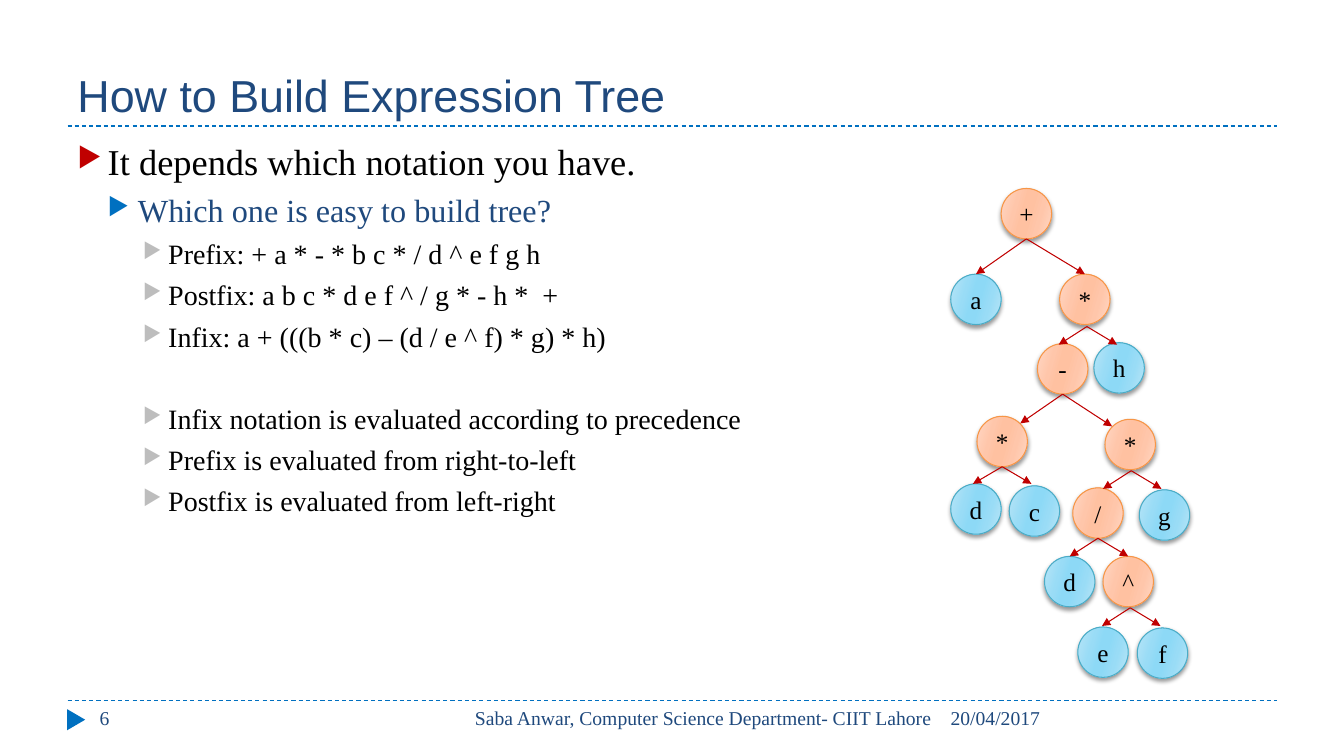
from dataclasses import dataclass

from lxml import etree
from pptx import Presentation
from pptx import util as u
from pptx.dml.color import RGBColor
from pptx.enum import dml, shapes, text
from pptx.oxml import ns

SERIF = "Times New Roman"
COLORS = {
    "navy": "1F497D", "blue": "0070C0", "red": "C00000", "grey": "BDBDBD",
    "black": "000000", "leaf_line": "4BACC6", "operator_line": "F79646",
}
GRADIENTS = {
    "leaf": ("B9E5F7", "99DCF6", "8DD9F6"),
    "operator": ("FFD7C5", "FFC6AA", "FFC1A1"),
}
STOPS = ((0, 0), (30, 1), (45, 2), (55, 2), (73, 1), (100, 0))
NODE_SIZE = 0.5


@dataclass
class Node:
    symbol: str
    left: float
    top: float


@dataclass
class Branch:
    start: tuple[float, float]
    left_end: tuple[float, float]
    right_end: tuple[float, float]


@dataclass
class Level:
    size: int
    color: str
    bullet_color: str
    margin: float
    hanging: float


@dataclass
class Point:
    words: str
    level: int
    before: float = 5.5


LEVELS = (
    Level(26, "black", "red", 0.3, 0.3),
    Level(23, "navy", "blue", 0.6, 0.3),
    Level(20, "black", "grey", 0.9, 0.25),
)
POINTS = (
    Point("It depends which notation you have.", 0, 0),
    Point("Which one is easy to build tree?", 1),
    Point("Prefix: + a * - * b c * / d ^ e f g h", 2),
    Point("Postfix: a b c * d e f ^ / g * - h *  +", 2),
    Point("Infix: a + (((b * c) – (d / e ^ f) * g) * h)", 2),
    Point("Infix notation is evaluated according to precedence", 2, 34.5),
    Point("Prefix is evaluated from right-to-left", 2),
    Point("Postfix is evaluated from left-right", 2),
)
NODES = (
    Node("+", 9.93, 1.87), Node("a", 9.43, 2.72), Node("*", 10.51, 2.72),
    Node("-", 10.29, 3.41), Node("h", 10.85, 3.4),
    Node("*", 9.69, 4.13), Node("*", 10.96, 4.16),
    Node("d", 9.43, 4.8), Node("c", 10.01, 4.82),
    Node("/", 10.64, 4.84), Node("g", 11.3, 4.86),
    Node("d", 10.36, 5.52), Node("^", 10.94, 5.52),
    Node("e", 10.69, 6.22), Node("f", 11.28, 6.23),
)
BRANCHES = (
    Branch((10.18, 2.37), (9.68, 2.72), (10.76, 2.72)),
    Branch((10.78, 3.24), (10.5, 3.42), (11.08, 3.42)),
    Branch((10.54, 3.91), (10.12, 4.2), (11.03, 4.23)),
    Branch((9.94, 4.63), (9.65, 4.8), (10.23, 4.8)),
    Branch((11.22, 4.67), (10.94, 4.85), (11.52, 4.85)),
    Branch((10.89, 5.34), (10.61, 5.52), (11.19, 5.52)),
    Branch((11.21, 6.03), (10.93, 6.21), (11.51, 6.21)),
)


def rgb(color: str) -> RGBColor:
    return RGBColor.from_string(COLORS[color])


def add_child(parent, tag: str, **attributes):
    child = etree.SubElement(parent, ns.qn(tag))
    for key, value in attributes.items():
        child.set(key, str(value))
    return child


def write(paragraph, words: str, *, size: float, color: str = "navy",
          font: str = SERIF, align=text.PP_ALIGN.LEFT) -> None:
    paragraph.alignment = align
    run = paragraph.add_run()
    run.text = words
    run.font.size = u.Pt(size)
    run.font.name = font
    run.font.color.rgb = rgb(color)


def add_frame(slide, left: float, top: float, width: float, height: float,
              anchor=text.MSO_ANCHOR.TOP):
    box = slide.shapes.add_textbox(*map(u.Inches, (left, top, width, height)))
    box.text_frame.word_wrap = True
    box.text_frame.vertical_anchor = anchor
    return box.text_frame


def add_line(slide, start: tuple[float, float], end: tuple[float, float],
             color: str):
    line = slide.shapes.add_connector(
        shapes.MSO_CONNECTOR.STRAIGHT, *map(u.Inches, start + end))
    line.line.color.rgb = rgb(color)
    line.line.width = u.Pt(0.75)
    add_child(line._element.spPr, "a:effectLst")
    return line


def add_branch(slide, branch: Branch) -> None:
    for end in (branch.left_end, branch.right_end):
        arrow = add_line(slide, branch.start, end, "red")
        add_child(arrow.line._get_or_add_ln(), "a:tailEnd", type="triangle")


def add_node(slide, node: Node) -> None:
    kind = "leaf" if node.symbol.isalpha() else "operator"
    circle = slide.shapes.add_shape(
        shapes.MSO_SHAPE.OVAL,
        *map(u.Inches, (node.left, node.top, NODE_SIZE, NODE_SIZE)))
    circle.fill.gradient()
    circle.fill.gradient_angle = 344
    stops = circle._element.spPr.find(".//" + ns.qn("a:gsLst"))
    for stop in list(stops):
        stops.remove(stop)
    for position, shade in STOPS:
        stop = add_child(stops, "a:gs", pos=position * 1000)
        add_child(stop, "a:srgbClr", val=GRADIENTS[kind][shade])
    circle.line.color.rgb = rgb(kind + "_line")
    circle.line.width = u.Pt(0.75)
    circle.shadow.inherit = False
    effects = circle._element.spPr.find(ns.qn("a:effectLst"))
    shadow = add_child(effects, "a:outerShdw", blurRad=u.Pt(3), dist=u.Pt(2),
                       dir=90 * 60000, rotWithShape=0)
    shade = add_child(shadow, "a:srgbClr", val=COLORS["black"])
    add_child(shade, "a:alpha", val=40000)
    frame = circle.text_frame
    frame.margin_left = frame.margin_right = 0
    frame.vertical_anchor = text.MSO_ANCHOR.MIDDLE
    write(frame.paragraphs[0], node.symbol, size=18, color="black",
          align=text.PP_ALIGN.CENTER)


def add_points(slide) -> None:
    frame = add_frame(slide, 0.67, 1.33, 8.67, 5.4)
    for index, point in enumerate(POINTS):
        level = LEVELS[point.level]
        paragraph = frame.add_paragraph() if index else frame.paragraphs[0]
        paragraph.level = point.level
        properties = paragraph._p.get_or_add_pPr()
        properties.set("marL", str(u.Inches(level.margin)))
        properties.set("indent", str(-u.Inches(level.hanging)))
        bullet_color = add_child(properties, "a:buClr")
        add_child(bullet_color, "a:srgbClr", val=COLORS[level.bullet_color])
        add_child(properties, "a:buSzPct", val=76000)
        add_child(properties, "a:buChar", char="▶")
        paragraph.space_before = u.Pt(point.before)
        write(paragraph, point.words, size=level.size, color=level.color)


def main() -> None:
    deck = Presentation()
    deck.slide_width, deck.slide_height = u.Inches(13.33), u.Inches(7.5)
    slide = deck.slides.add_slide(deck.slide_layouts[6])

    for y in (1.25, 6.95):
        rule = add_line(slide, (0.67, y), (12.67, y), "blue")
        rule.line.dash_style = dml.MSO_LINE.DASH
    marker = slide.shapes.add_shape(
        shapes.MSO_SHAPE.ISOSCELES_TRIANGLE,
        *map(u.Inches, (0.65, 7.05, 0.21, 0.18)))
    marker.rotation = 90
    marker.fill.solid()
    marker.fill.fore_color.rgb = rgb("blue")
    marker.line.fill.background()
    marker.shadow.inherit = False

    title = add_frame(slide, 0.67, 0.17, 12, 1.08, text.MSO_ANCHOR.BOTTOM)
    write(title.paragraphs[0], "How to Build Expression Tree", size=32, font="Arial")
    for words, left, width, align in (
        ("6", 0.89, 2.89, text.PP_ALIGN.LEFT),
        ("Saba Anwar, Computer Science Department- CIIT Lahore", 4.23, 5.11,
         text.PP_ALIGN.RIGHT),
        ("20/04/2017", 9.33, 3.34, text.PP_ALIGN.LEFT),
    ):
        footer = add_frame(slide, left, 6.95, width, 0.4)
        write(footer.paragraphs[0], words, size=14, align=align)

    add_points(slide)
    for node in NODES:
        add_node(slide, node)
    for branch in BRANCHES:
        add_branch(slide, branch)
    deck.save("out.pptx")


if __name__ == "__main__":
    main()
